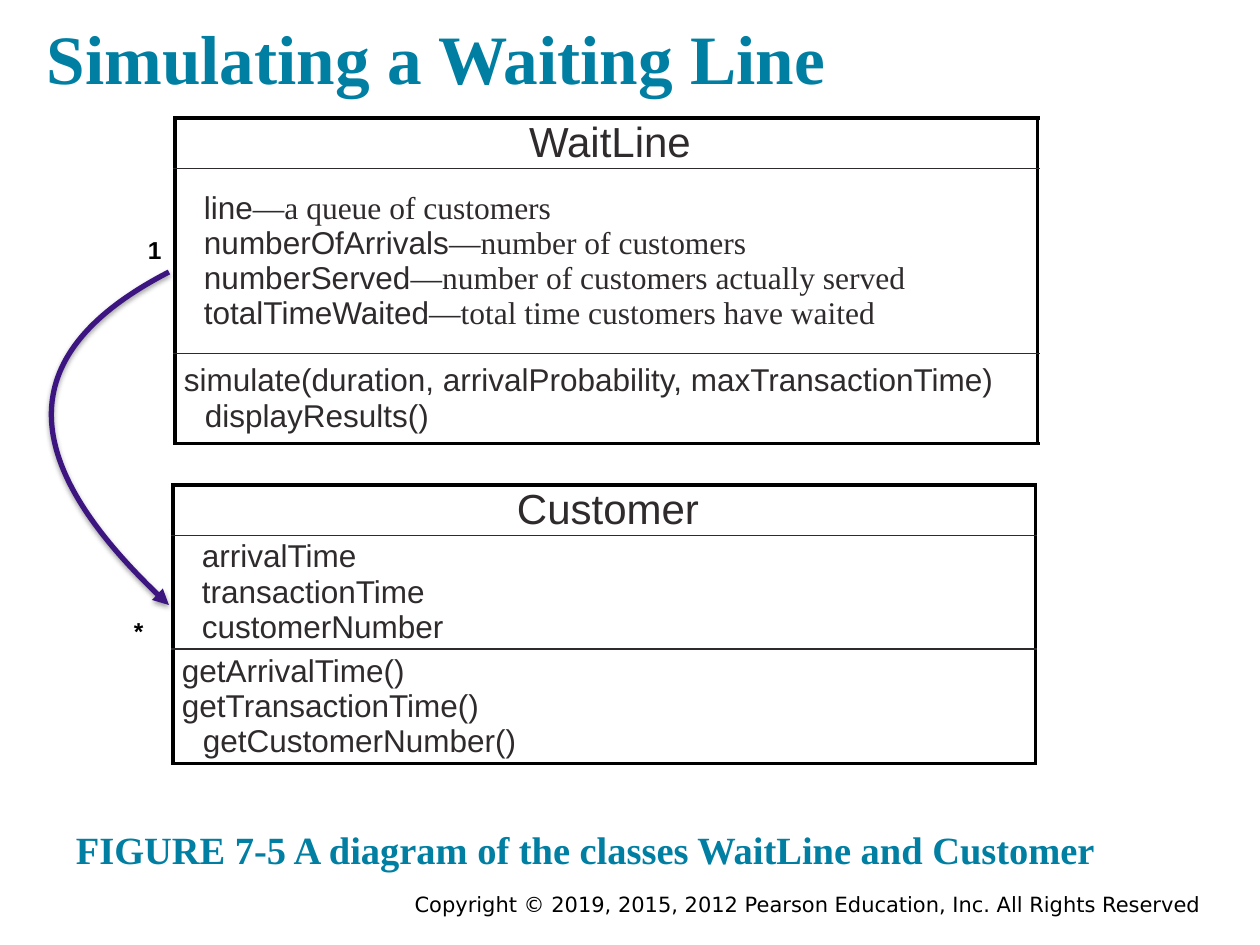
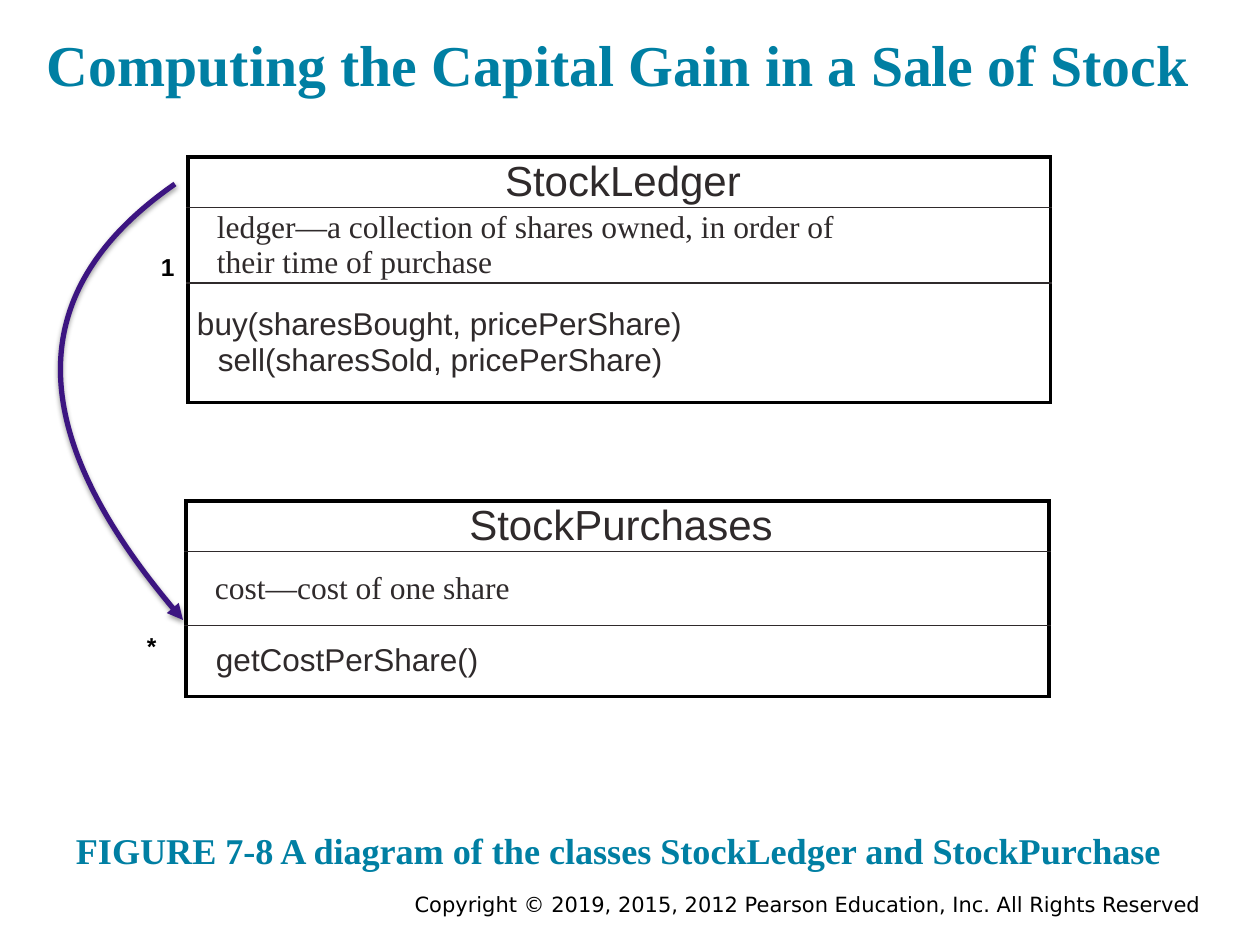
from dataclasses import dataclass

from lxml.etree import SubElement
from pptx import Presentation
from pptx.dml.color import RGBColor
from pptx.enum.text import MSO_ANCHOR, PP_ALIGN
from pptx.oxml.ns import qn
from pptx.util import Emu, Pt

EMU_PER_PX = 914400 / 126


@dataclass(frozen=True)
class Theme:
    heading: str = "007FA3"
    ink: str = "2F2A2B"
    black: str = "000000"
    paper: str = "FFFFFF"
    arrow: str = "3C1581"
    serif: str = "Times New Roman"
    sans: str = "Arial"
    footer_font: str = "DejaVu Sans"
    class_name_size: float = 24
    member_size: float = 18
    label_size: float = 14
    footer_size: float = 12
    outline: float = 2
    divider: float = 1
    arrow_width: float = 3


THEME = Theme()
FOOTER = "Copyright © 2019, 2015, 2012 Pearson Education, Inc. All Rights Reserved"
TABLE_WIDTH = 863
NAME_HEIGHT = 50
CELL_INSET = 9
ATTRIBUTE_INDENT = 20
METHOD_INDENT = 21


def px(length):
    return Emu(round(length * EMU_PER_PX))


def format_run(run, size, font, color, bold=False):
    run.font.size = Pt(size)
    run.font.name = font
    run.font.bold = bold
    run.font.color.rgb = RGBColor.from_string(color)


def add_text(slide, box, text, size, font, color, bold=False, inset=6,
             anchor=MSO_ANCHOR.TOP, align=PP_ALIGN.LEFT, wrap=True):
    shape = slide.shapes.add_textbox(*map(px, box))
    frame = shape.text_frame
    frame.text = text
    frame.word_wrap = wrap
    frame.vertical_anchor = anchor
    frame.margin_left = frame.margin_right = px(inset)
    frame.margin_top = frame.margin_bottom = px(inset)
    paragraph = frame.paragraphs[0]
    paragraph.alignment = align
    format_run(paragraph.runs[0], size, font, color, bold)


def add_heading(slide, box, text, size):
    add_text(slide, box, text, size, THEME.serif, THEME.heading, True,
             inset=13, anchor=MSO_ANCHOR.BOTTOM)


def add_frame(slide, title, title_size, caption, caption_size):
    add_text(slide, (220, 886, 987, 39), FOOTER, THEME.footer_size,
             THEME.footer_font, THEME.black, align=PP_ALIGN.RIGHT)
    add_heading(slide, (34, 0, 1173, 111), title, title_size)
    add_heading(slide, (63, 804, 1134, 81), caption, caption_size)


def add_multiplicity(slide, left, top, text):
    add_text(slide, (left, top, 28, 40), text, THEME.label_size,
             THEME.sans, THEME.black, True, wrap=False)


def set_indent(paragraph, left, right=0):
    properties = paragraph._p.get_or_add_pPr()
    properties.set("marL", str(px(left)))
    properties.set("marR", str(px(right)))
    properties.set("indent", "0")


def add_border(properties, side, width, color):
    line = SubElement(properties, qn(f"a:ln{side}"), w=str(Pt(width)))
    fill = SubElement(line, qn("a:solidFill"))
    SubElement(fill, qn("a:srgbClr"), val=color)


def style_cell(cell, is_first, is_last):
    outline = (THEME.outline, THEME.black)
    divider = (THEME.divider, THEME.ink)
    properties = cell._tc.get_or_add_tcPr()
    add_border(properties, "L", *outline)
    add_border(properties, "R", *outline)
    add_border(properties, "T", *(outline if is_first else divider))
    add_border(properties, "B", *(outline if is_last else divider))
    cell.fill.solid()
    cell.fill.fore_color.rgb = RGBColor.from_string(THEME.paper)
    cell.vertical_anchor = MSO_ANCHOR.MIDDLE
    cell.margin_left = cell.margin_right = px(CELL_INSET)
    cell.margin_top = cell.margin_bottom = 0


def fill_name(cell, name):
    cell.text_frame.text = name
    paragraph = cell.text_frame.paragraphs[0]
    paragraph.alignment = PP_ALIGN.CENTER
    set_indent(paragraph, 7)
    format_run(paragraph.runs[0], THEME.class_name_size, THEME.sans, THEME.ink)


def fill_attributes(cell, attributes, right_indent):
    frame = cell.text_frame
    frame.text = "\n".join(name for name, _ in attributes)
    for paragraph, (_, description) in zip(frame.paragraphs, attributes):
        set_indent(paragraph, ATTRIBUTE_INDENT, right_indent)
        for run in paragraph.runs:
            format_run(run, THEME.member_size, THEME.sans, THEME.ink)
        if description:
            run = paragraph.add_run()
            run.text = description
            format_run(run, THEME.member_size, THEME.serif, THEME.ink)


def fill_methods(cell, methods):
    frame = cell.text_frame
    frame.text = "\n".join(methods)
    for paragraph in frame.paragraphs:
        set_indent(paragraph, 0)
        format_run(paragraph.runs[0], THEME.member_size, THEME.sans, THEME.ink)
    set_indent(frame.paragraphs[-1], METHOD_INDENT)


def add_class_table(slide, left, top, member_heights, name, attributes,
                    methods, right_indent=0):
    heights = [NAME_HEIGHT, *member_heights]
    shape = slide.shapes.add_table(
        len(heights), 1, px(left), px(top), px(TABLE_WIDTH), px(sum(heights)))
    table = shape.table
    table.first_row = False
    table.horz_banding = False
    cells = [table.cell(index, 0) for index in range(len(heights))]
    for index, (cell, height) in enumerate(zip(cells, heights)):
        table.rows[index].height = px(height)
        style_cell(cell, index == 0, index == len(heights) - 1)
    fill_name(cells[0], name)
    fill_attributes(cells[1], attributes, right_indent)
    fill_methods(cells[2], methods)


def add_curved_arrow(slide, start, first_control, second_control, end):
    points = (start, first_control, second_control, end)
    middle = [round((a + 3 * b + 3 * c + d) / 8) for a, b, c, d in zip(*points)]
    builder = slide.shapes.build_freeform(*start, scale=EMU_PER_PX)
    builder.add_line_segments([middle, end], close=False)
    shape = builder.convert_to_shape()
    shape.fill.background()
    shape.line.color.rgb = RGBColor.from_string(THEME.arrow)
    shape.line.width = Pt(THEME.arrow_width)
    shape.shadow.inherit = False

    properties = shape._element.spPr
    outline = next(properties.iter(qn("a:path")))
    for segment in outline.findall(qn("a:lnTo")):
        outline.remove(segment)
    curve = SubElement(outline, qn("a:cubicBezTo"))
    for x, y in points[1:]:
        SubElement(curve, qn("a:pt"), x=str(x - middle[0]), y=str(y - start[1]))
    SubElement(properties.find(qn("a:ln")), qn("a:tailEnd"), type="triangle")
    shadow = SubElement(
        properties.find(qn("a:effectLst")), qn("a:outerShdw"),
        blurRad=str(Pt(3)), dist=str(Pt(1.6)), dir="5400000", rotWithShape="0")
    color = SubElement(shadow, qn("a:srgbClr"), val=THEME.black)
    SubElement(color, qn("a:alpha"), val="38000")


def add_waiting_line_slide(slide):
    add_frame(slide, "Simulating a Waiting Line", 39.6,
              "FIGURE 7-5 A diagram of the classes WaitLine and Customer", 22)
    add_class_table(
        slide, 175, 118, (185, 90), "WaitLine",
        [("line", "—a queue of customers"),
         ("numberOfArrivals", "—number of customers"),
         ("numberServed", "—number of customers actually served"),
         ("totalTimeWaited", "—total time customers have waited")],
        ["simulate(duration, arrivalProbability, maxTransactionTime)",
         "displayResults()"])
    add_class_table(
        slide, 173, 485, (113, 115), "Customer",
        [("arrivalTime", ""), ("transactionTime", ""), ("customerNumber", "")],
        ["getArrivalTime()", "getTransactionTime()", "getCustomerNumber()"])
    add_curved_arrow(slide, (169, 272), (14, 352), (14, 462), (169, 605))
    add_multiplicity(slide, 142, 229, "1")
    add_multiplicity(slide, 128, 610, "*")


def add_stock_slide(slide):
    add_frame(slide, "Computing the Capital Gain in a Sale of Stock", 33,
              "FIGURE 7-8 A diagram of the classes StockLedger and StockPurchase",
              20.7)
    add_class_table(
        slide, 188, 157, (75, 119), "StockLedger",
        [("", "ledger—a collection of shares owned, in order of "
              "their time of purchase")],
        ["buy(sharesBought, pricePerShare)", "sell(sharesSold, pricePerShare)"],
        right_indent=170)
    add_class_table(
        slide, 186, 501, (74, 71), "StockPurchases",
        [("", "cost—cost of one share")], ["getCostPerShare()"])
    add_curved_arrow(slide, (175, 184), (21, 291), (24, 437), (183, 620))
    add_multiplicity(slide, 155, 246, "1")
    add_multiplicity(slide, 141, 625, "*")


def main():
    presentation = Presentation()
    presentation.slide_width = px(1260)
    presentation.slide_height = px(945)
    blank_layout = presentation.slide_layouts[6]
    for build_slide in (add_waiting_line_slide, add_stock_slide):
        build_slide(presentation.slides.add_slide(blank_layout))
    presentation.save("out.pptx")


if __name__ == "__main__":
    main()
